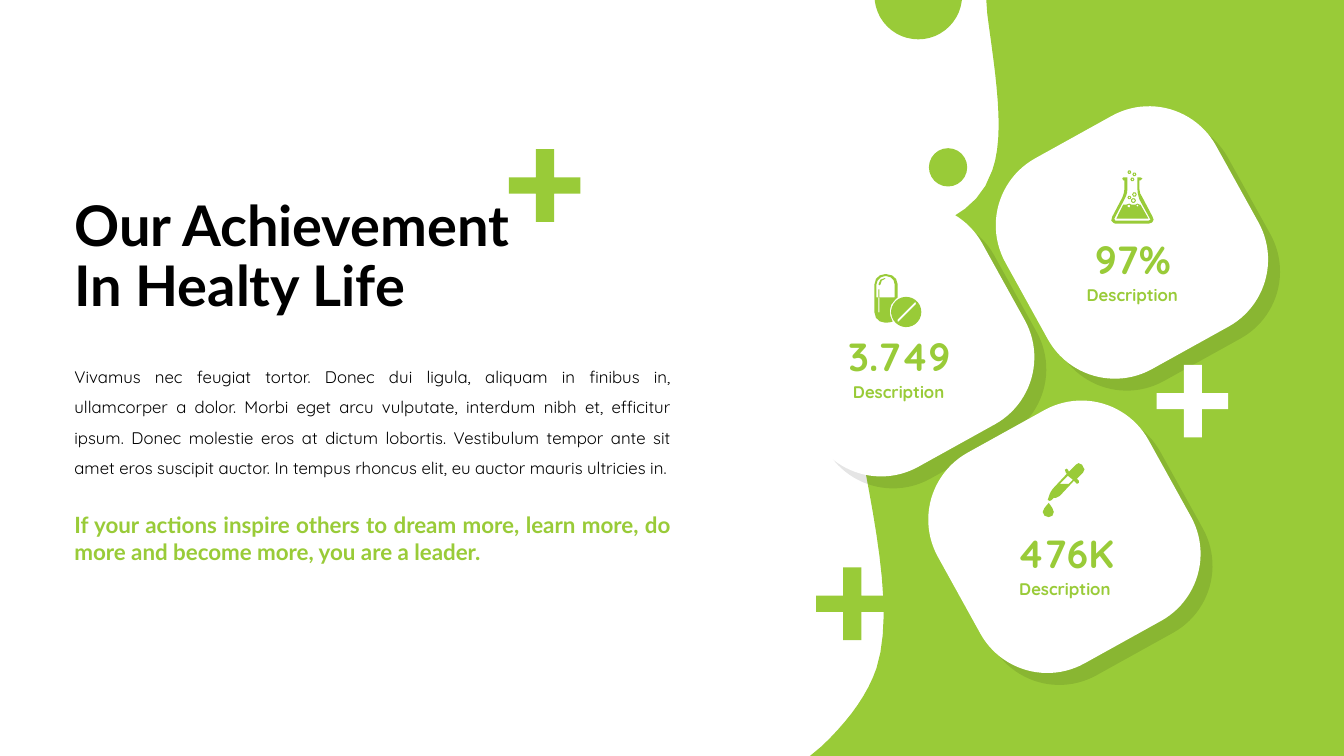
from dataclasses import dataclass
from math import cos, dist, pi, sin, sqrt

from lxml.etree import SubElement
from pptx import Presentation
from pptx.dml.color import RGBColor
from pptx.enum.shapes import MSO_SHAPE
from pptx.enum.text import MSO_ANCHOR, PP_ALIGN
from pptx.oxml.ns import qn
from pptx.util import Inches, Pt


@dataclass(frozen=True)
class Theme:
    green: RGBColor = RGBColor(0x99, 0xCB, 0x38)
    white: RGBColor = RGBColor(255, 255, 255)
    black: RGBColor = RGBColor(0, 0, 0)
    heading: str = "Lato"
    body: str = "Quicksand"
    title_size: int = 40
    figure_size: int = 28
    quote_size: int = 16
    body_size: int = 12


THEME = Theme()
UNIT = Inches(0.01)

TITLE = "Our Achievement In Healty Life"
BODY = ("Vivamus nec feugiat tortor. Donec dui ligula, aliquam in finibus in, ullamcorper a dolor. "
        "Morbi eget arcu vulputate, interdum nibh et, efficitur ipsum. Donec molestie eros at dictum "
        "lobortis. Vestibulum tempor ante sit amet eros suscipit auctor. In tempus rhoncus elit, "
        "eu auctor mauris ultricies in.")
QUOTE = ("If your actions inspire others to dream more, learn more, do more and become more, "
         "you are a leader.")

WAVE = [[(979, 0), (1334, 0), (1334, 750), (804, 750), (816, 740),
         (840, 717, 860, 692, 870, 663), (900, 569, 824, 381, 843, 298),
         (863, 216, 960, 244, 985, 169), (998, 132, 988, 74, 980, 14)]]

PILLS = [
    [(18, 47), (16, 48, 14, 48, 12, 48), (10, 48), (5, 48, 0, 44, 0, 38), (0, 10),
     (0, 4, 5, 0, 10, 0), (12, 0), (18, 0, 23, 4, 23, 10), (23, 23),
     (20, 26), (14, 31, 14, 40, 18, 47)],
    [(20, 23), (20, 10), (20, 6, 17, 2, 12, 2), (10, 2), (6, 2, 2, 6, 2, 10), (2, 23),
     (4, 23), (4, 38), (4, 39, 5, 39, 5, 38), (5, 23)],
    [(11, 4), (10, 5), (8, 5, 6, 7, 6, 10), (5, 11), (4, 10), (4, 6, 7, 4, 10, 4)],
    [(4, 15), (5, 15), (5, 23), (4, 23)],
    [(41, 28), (40, 28), (23, 45), (23, 47), (24, 47), (41, 30)],
]
DROPPER = [
    [(40, 4), (39, 2), (37, 0, 34, 0, 33, 2), (26, 9), (25, 7), (24, 6), (22, 7),
     (23, 10), (24, 11), (10, 26), (8, 29), (7, 31), (6, 34), (5, 37), (7, 38),
     (9, 37), (11, 35), (13, 35), (17, 33), (31, 18), (33, 20), (34, 21), (36, 20),
     (36, 18), (34, 16), (40, 10), (42, 8, 42, 5, 40, 4)],
    [(26, 21), (17, 21), (25, 13), (30, 17)],
    [(6, 40), (6, 40, 11, 46, 11, 49), (11, 52, 9, 54, 6, 54), (3, 54, 0, 52, 0, 49),
     (0, 46, 6, 40, 6, 40)],
]
FLASK = [
    [(41, 51), (40, 52), (37, 53), (4, 53), (2, 52), (0, 50), (1, 46), (11, 27),
     (12, 25, 13, 21, 13, 19), (13, 10), (12, 10), (11, 8), (12, 7), (16, 7), (16, 19),
     (16, 22, 15, 26, 13, 29), (3, 48), (4, 50), (37, 50), (39, 49), (28, 29),
     (27, 26, 26, 22, 26, 19), (26, 7), (29, 7), (31, 8), (29, 10), (28, 10),
     (28, 19), (28, 21, 29, 25, 31, 27), (41, 46), (42, 49)],
    [(18, 33), (20, 34), (24, 34), (26, 33), (28, 34), (29, 34), (37, 48), (5, 48),
     (12, 34), (15, 34)],
]
BUBBLES = [(22, 30, 2.5), (23, 24, 2.3), (23, 4, 2), (18, 27, 1.9), (18, 1.8, 1.9), (21, 9, 2)]
FLASK_DISCS = [(26, 35, 1.2), (17.5, 35.5, 1.5)] + [
    (x, y, size) for x, y, r in BUBBLES for size in (r, r - 1)]

CARDS = [
    (757, 203, "3.749", PILLS, [(31.5, 37.5, 15)], (111, 69)),
    (922, 398, "476K", DROPPER, [], (113, 61)),
    (989, 106, "97%", FLASK, FLASK_DISCS, (114, 63)),
]
CARD_BOUNDS, CARD_SIDE, CARD_RADIUS, CARD_TILT = 269, 239, 76, -29
PLUSES = [(1148, 362, THEME.white), (810, 563, THEME.green), (505, 148, THEME.green)]
DOTS = [(922, 147, 38), (868, -48, 87)]


def trace(contour):
    points = [contour[0]]
    for step in contour[1:]:
        if len(step) == 2:
            points.append(step)
            continue
        knots = [points[-1], step[:2], step[2:4], step[4:]]
        count = max(1, int(sqrt(dist(knots[0], knots[3]))))
        for i in range(1, count + 1):
            t = i / count
            weights = ((1 - t) ** 3, 3 * t * (1 - t) ** 2, 3 * t * t * (1 - t), t ** 3)
            points.append(tuple(sum(w * k[axis] for w, k in zip(weights, knots))
                                for axis in (0, 1)))
    return points


def disc(x, y, radius):
    count = int(3 + 1.6 * radius)
    angles = [2 * pi * i / count for i in range(count)]
    return [(x + radius * cos(angle), y + radius * sin(angle)) for angle in angles]


def paint(shape, color):
    shape.shadow.inherit = False
    shape.fill.solid()
    shape.fill.fore_color.rgb = color
    shape.line.fill.background()
    return shape


def add_outline(page, contours, color, left=0, top=0):
    rings = [[((left + x) * UNIT, (top + y) * UNIT) for x, y in trace(contour)]
             for contour in contours]
    builder = page.shapes.build_freeform(*rings[0][0])
    for i, ring in enumerate(rings):
        if i:
            builder.move_to(*ring[0])
        builder.add_line_segments(ring[1:], close=True)
    return paint(builder.convert_to_shape(), color)


def add_preset(page, kind, left, top, side, color):
    return paint(page.shapes.add_shape(kind, left * UNIT, top * UNIT, side * UNIT, side * UNIT), color)


def add_text(page, text, bounds, font, size, color, align, bold=True, spacing=1.0,
             anchor=MSO_ANCHOR.MIDDLE):
    box = page.shapes.add_textbox(*(value * UNIT for value in bounds))
    frame = box.text_frame
    frame.word_wrap = True
    frame.vertical_anchor = anchor
    frame.text = text
    para = frame.paragraphs[0]
    para.alignment = align
    para.line_spacing = spacing
    span = para.runs[0]
    span.font.name, span.font.size, span.font.bold = font, Pt(size), bold
    span.font.color.rgb = color


def add_card(page, left, top, figure, icon, discs, icon_offset):
    inset = (CARD_BOUNDS - CARD_SIDE) // 2
    card = add_preset(page, MSO_SHAPE.ROUNDED_RECTANGLE, left + inset, top + inset,
                      CARD_SIDE, THEME.white)
    card.adjustments[0] = CARD_RADIUS / CARD_SIDE
    card.rotation = CARD_TILT
    effects = card._element.spPr.find(qn("a:effectLst"))
    shadow = SubElement(effects, qn("a:outerShdw"), dist=str(Pt(12.1)), dir="2700000",
                        algn="tl", rotWithShape="0")
    tint = SubElement(shadow, qn("a:srgbClr"), val=str(THEME.black))
    SubElement(tint, qn("a:alpha"), val="10000")
    add_text(page, "Description", (left + 72, top + 171, 126, 30), THEME.body,
             THEME.body_size, THEME.green, PP_ALIGN.CENTER)
    add_text(page, figure, (left + 60, top + 122, 151, 57), THEME.body,
             THEME.figure_size, THEME.green, PP_ALIGN.CENTER)
    add_outline(page, icon + [disc(*item) for item in discs], THEME.green,
                left + icon_offset[0], top + icon_offset[1])


def add_plus(page, left, top, color):
    xs, ys = (0, 27, 45, 71), (0, 28, 44, 72)
    order = [(1, 0), (2, 0), (2, 1), (3, 1), (3, 2), (2, 2),
             (2, 3), (1, 3), (1, 2), (0, 2), (0, 1), (1, 1)]
    add_outline(page, [[(xs[i], ys[j]) for i, j in order]], color, left, top)


def main():
    deck = Presentation()
    deck.slide_width, deck.slide_height = Inches(13.34), Inches(7.5)
    page = deck.slides.add_slide(deck.slide_layouts[6])
    add_outline(page, WAVE, THEME.green)
    for card in CARDS:
        add_card(page, *card)
    for plus in PLUSES:
        add_plus(page, *plus)
    for dot in DOTS:
        add_preset(page, MSO_SHAPE.OVAL, *dot, THEME.green)
    add_text(page, BODY, (64, 349, 612, 130), THEME.body, THEME.body_size, THEME.black,
             PP_ALIGN.JUSTIFY, bold=False, spacing=1.5, anchor=MSO_ANCHOR.TOP)
    add_text(page, QUOTE, (64, 502, 612, 64), THEME.heading, THEME.quote_size, THEME.green,
             PP_ALIGN.JUSTIFY, anchor=MSO_ANCHOR.TOP)
    add_text(page, TITLE, (64, 184, 509, 145), THEME.heading, THEME.title_size, THEME.black,
             PP_ALIGN.LEFT, spacing=0.9)
    deck.save("out.pptx")


if __name__ == "__main__":
    main()
